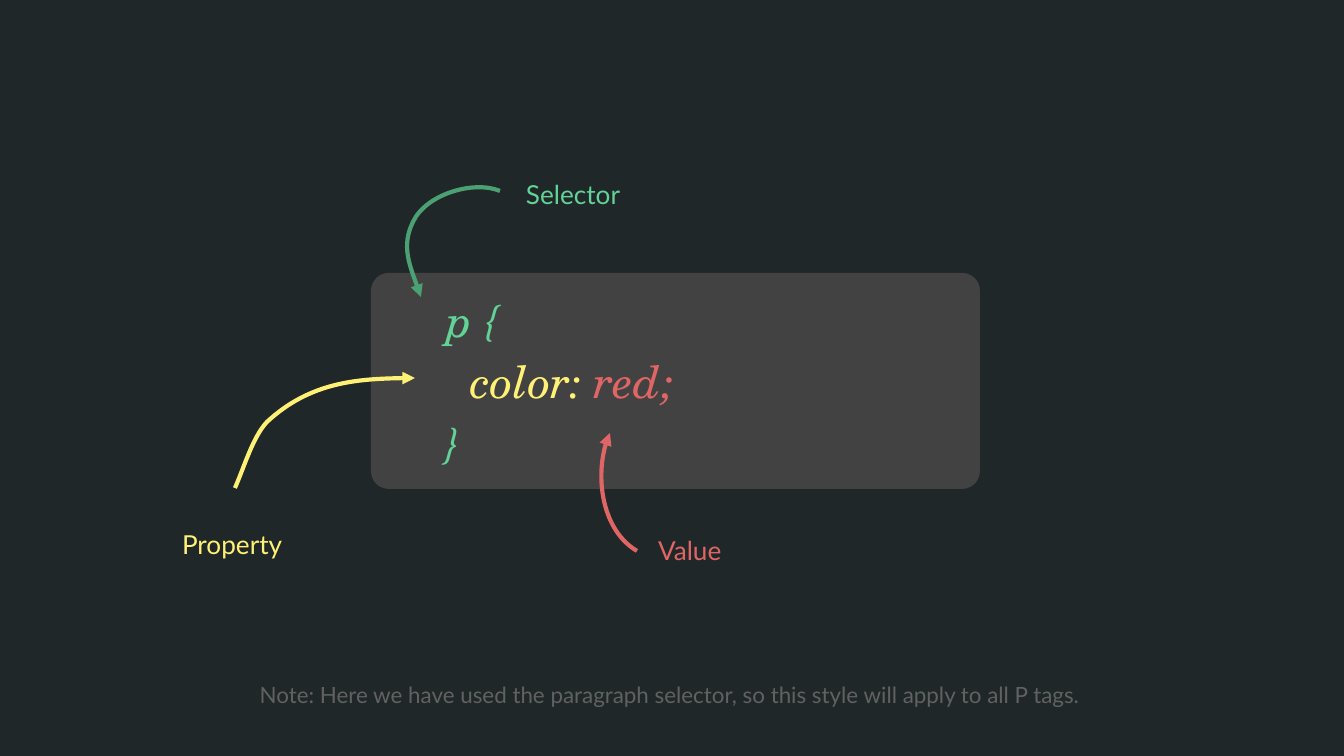
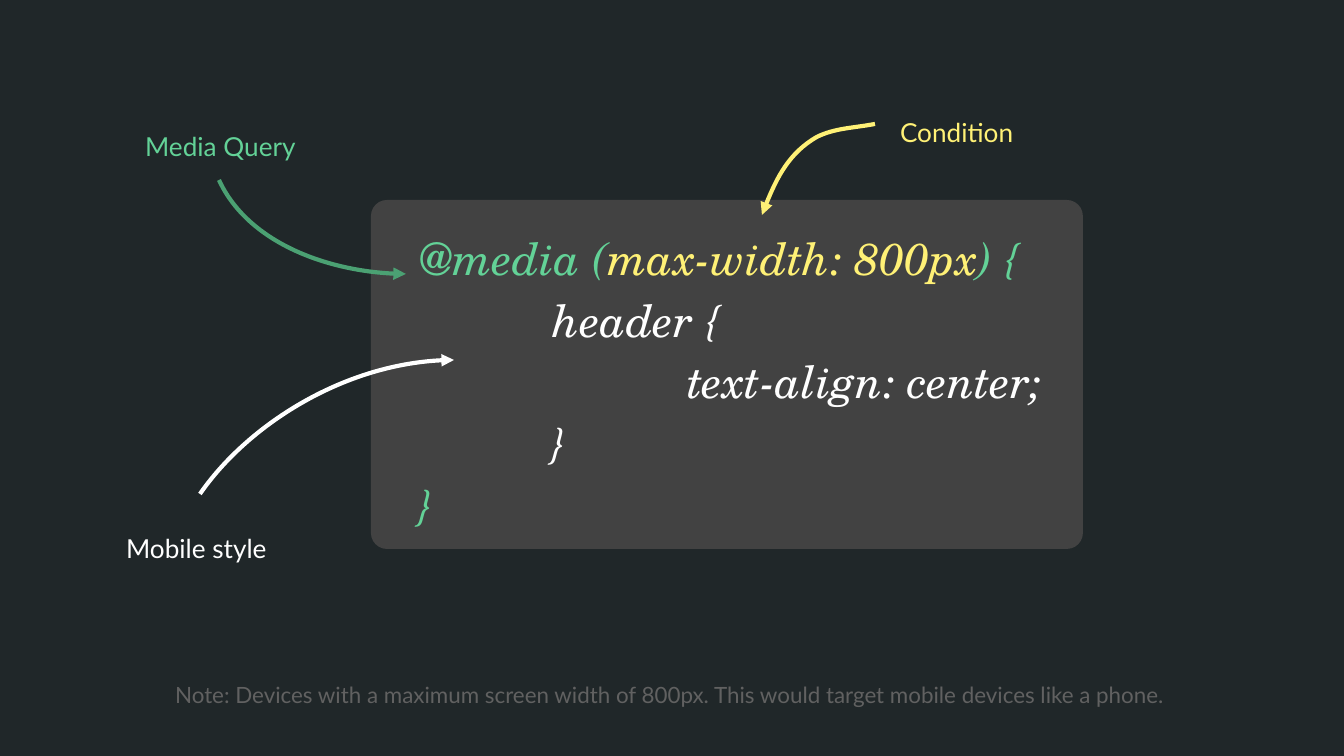
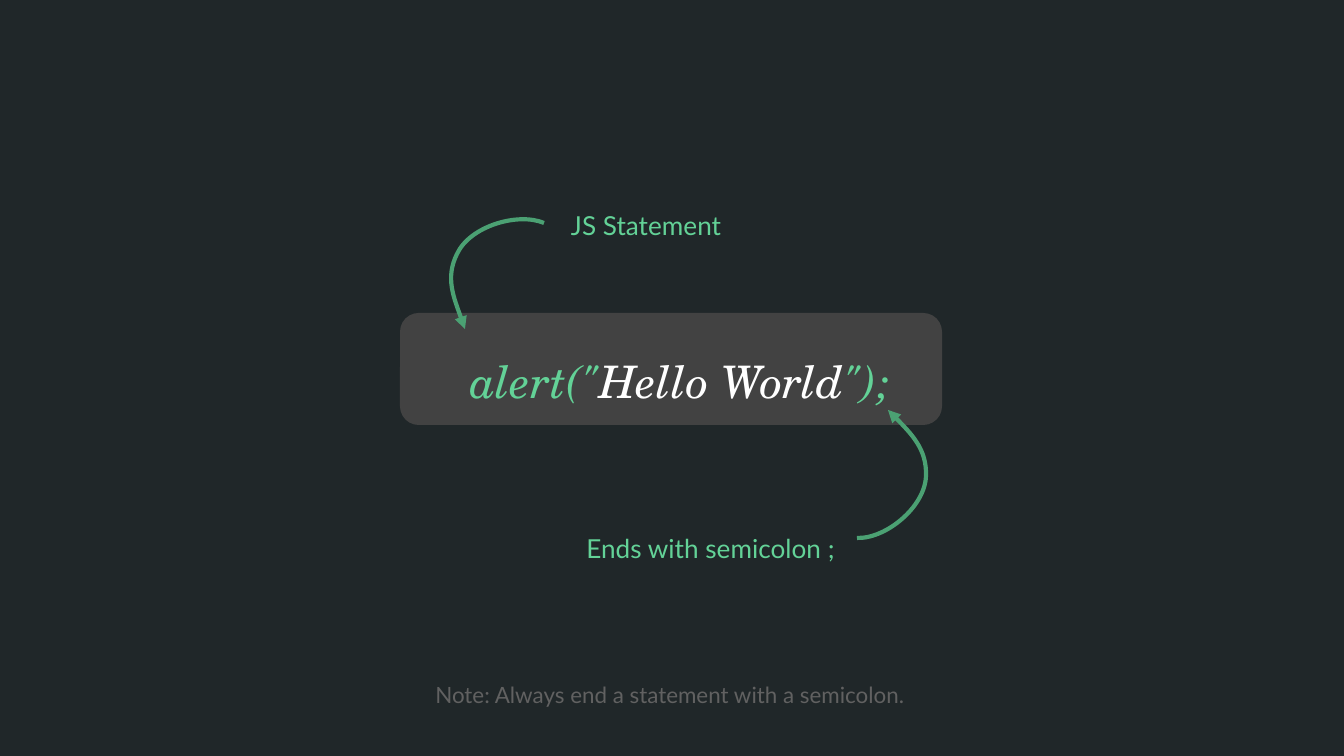
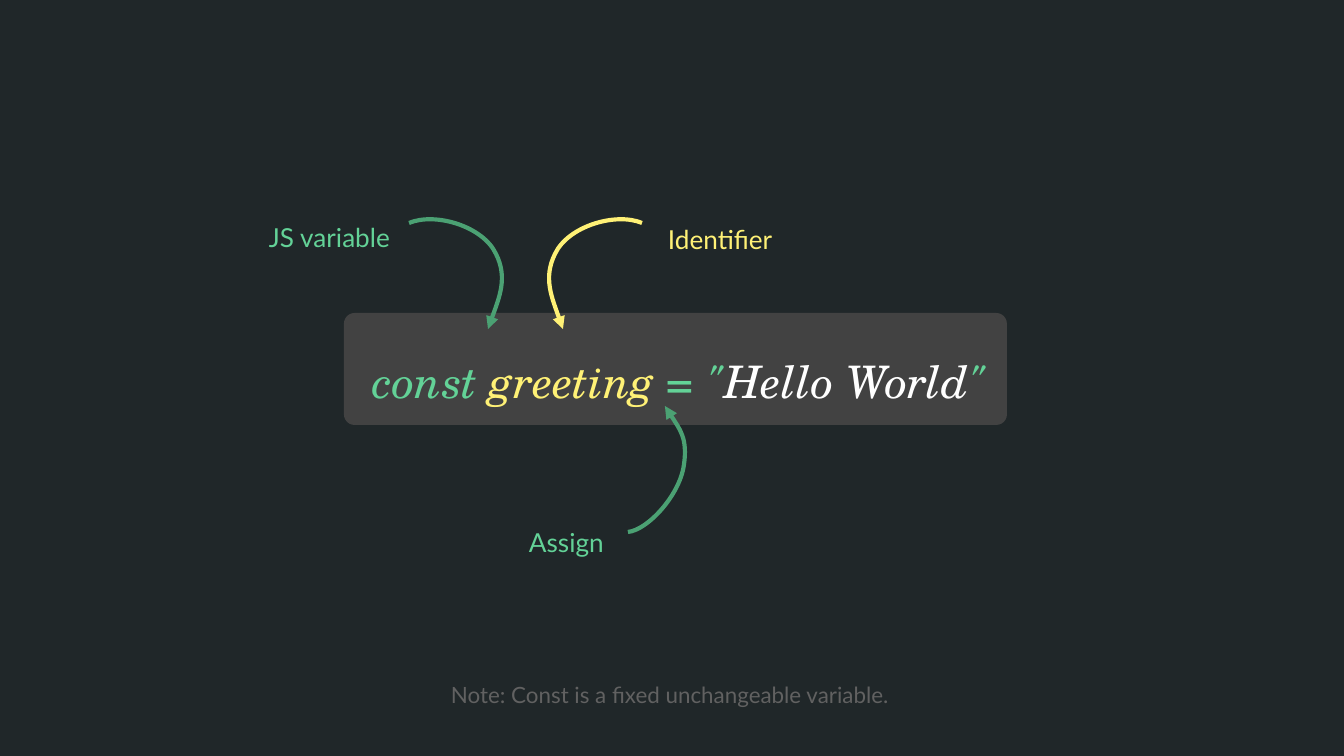
from lxml import etree
from pptx import Presentation
from pptx import util as u
from pptx.dml.color import RGBColor
from pptx.enum import shapes, text
from pptx.oxml.ns import qn

NIGHT = RGBColor(0x20, 0x27, 0x29)
PANEL = RGBColor(0x42, 0x42, 0x42)
GREY = RGBColor(0x61, 0x61, 0x61)
MINT = RGBColor(0x63, 0xD2, 0x97)
GREEN = RGBColor(0x4B, 0xA1, 0x73)
YELLOW = RGBColor(0xFF, 0xF1, 0x76)
RED = RGBColor(0xE0, 0x66, 0x66)
WHITE = RGBColor(0xFF, 0xFF, 0xFF)

WIDTH, HEIGHT = 1344, 756
SCALE = 9144000 / WIDTH
CODE_RIGHT = 1286
INSET = 13
TAB = 134
LEFT, CENTER, RIGHT = text.PP_ALIGN.LEFT, text.PP_ALIGN.CENTER, text.PP_ALIGN.RIGHT

CODE_FONT = {"name": "TeX Gyre Schola", "size": u.Pt(24), "italic": True}
LABEL_FONT = {"name": "Lato", "size": u.Pt(14)}
NOTE_FONT = {"name": "Lato", "size": u.Pt(12)}

HOOK = [(0, 0), (-26, -11), (-74, 3), (-87, 31), (-99, 55), (-87, 83), (-79, 106)]
HOOK_RIGHT = [(-x, y) for x, y in HOOK]

EXAMPLES = [
    {
        "panel": (371, 273, 609, 216), "corner": 0.082,
        "code_left": 433, "code_align": LEFT,
        "code": [
            [("p {", MINT)],
            [("  ", MINT), ("color: ", YELLOW), ("red;", RED)],
            [("}", MINT)],
        ],
        "labels": [
            ("Selector", MINT, (513, 161, 449, 83), LEFT, 1.15),
            ("Property", YELLOW, (169, 511, 168, 75), LEFT, 1.15),
            ("Value", RED, (645, 517, 168, 75), LEFT, 1.15),
        ],
        "arrows": [
            (GREEN, (500, 191), HOOK),
            (YELLOW, (235, 488), [(0, 0), (10, -23), (18, -51), (32, -66),
                                  (75, -106), (131, -110), (180, -110)]),
            (RED, (637, 551), [(0, 0), (-34, -20), (-44, -82), (-27, -118)]),
        ],
        "note": "Note: Here we have used the paragraph selector, so this style will apply to all P tags.",
    },
    {
        "panel": (371, 200, 712, 349), "corner": 0.046,
        "code_left": 406, "code_align": LEFT,
        "code": [
            [("@media (", MINT), ("max-width: 800px", YELLOW), (") {", MINT)],
            [("\theader {", WHITE)],
            [("\t\ttext-align: center;", WHITE)],
            [("\t}", WHITE)],
            [("}", MINT)],
        ],
        "labels": [
            ("Media Query", MINT, (132, 113, 210, 59), LEFT, 1.15),
            ("Mobile style", WHITE, (113, 515, 210, 59), LEFT, 1.15),
            ("Condition", YELLOW, (887, 99, 210, 59), LEFT, 1.15),
        ],
        "arrows": [
            (WHITE, (200, 494), [(0, 0), (47, -68), (149, -134), (254, -134)]),
            (GREEN, (219, 180), [(0, 0), (28, 61), (113, 94), (187, 94)]),
            (YELLOW, (875, 124), [(0, 0), (-20, 4), (-40, 4), (-58, 13),
                                  (-86, 29), (-102, 61), (-113, 91)]),
        ],
        "note": "Note: Devices with a maximum screen width of 800px. This would target mobile devices like a phone.",
    },
    {
        "panel": (400, 313, 542, 112), "corner": 0.167,
        "code_left": 73, "code_align": CENTER,
        "code": [[('alert("', MINT), ("Hello World", WHITE), ('");', MINT)]],
        "labels": [
            ("JS Statement", MINT, (558, 192, 449, 83), LEFT, 1.15),
            ("Ends with semicolon ;", MINT, (563, 515, 285, 59), RIGHT, 1.15),
        ],
        "arrows": [
            (GREEN, (544, 223), HOOK),
            (GREEN, (857, 538), [(0, 0), (29, 1), (68, -31), (69, -62),
                                 (70, -89), (48, -111), (31, -128)]),
        ],
        "note": "Note: Always end a statement with a semicolon.",
    },
    {
        "panel": (344, 313, 663, 112), "corner": 0.095,
        "code_left": 73, "code_align": CENTER,
        "code": [[("const ", MINT), ("greeting", YELLOW), (' = "', MINT),
                  ("Hello World", WHITE), ('"', MINT)]],
        "labels": [
            ("JS variable", MINT, (231, 204, 172, 70), RIGHT, 1.15),
            ("Assign", MINT, (332, 509, 285, 59), RIGHT, 1.15),
            ("Identifier", YELLOW, (655, 210, 151, 59), LEFT, 1.0),
        ],
        "arrows": [
            (GREEN, (409, 223), HOOK_RIGHT),
            (GREEN, (628, 532), [(0, 0), (20, -2), (52, -37), (56, -67),
                                 (60, -94), (47, -110), (37, -126)]),
            (YELLOW, (642, 223), HOOK),
        ],
        "note": "Note: Const is a fixed unchangeable variable.",
    },
]


def px(*lengths):
    return [u.Emu(round(length * SCALE)) for length in lengths]


def write(slide, place, lines, font, align, spacing=1.15, anchor=text.MSO_ANCHOR.TOP):
    frame = slide.shapes.add_textbox(*px(*place)).text_frame
    frame_format = {"word_wrap": True, "vertical_anchor": anchor}
    for side in ("left", "top", "right", "bottom"):
        frame_format[f"margin_{side}"] = px(INSET)[0]
    for key, value in frame_format.items():
        setattr(frame, key, value)
    for number, line in enumerate(lines):
        paragraph = frame.add_paragraph() if number else frame.paragraphs[0]
        tabs = line[0][0].count("\t")
        if tabs:
            stops = etree.SubElement(paragraph._p.get_or_add_pPr(), qn("a:tabLst"))
            for stop in px(*(TAB * (step + 1) for step in range(tabs))):
                etree.SubElement(stops, qn("a:tab"), pos=str(stop), algn="l")
        paragraph.alignment = align
        paragraph.line_spacing = spacing
        for words, colour in line:
            run = paragraph.add_run()
            run.text = words
            for key, value in font.items():
                setattr(run.font, key, value)
            run.font.color.rgb = colour


deck = Presentation()
deck.slide_width, deck.slide_height = px(WIDTH, HEIGHT)

for example in EXAMPLES:
    slide = deck.slides.add_slide(deck.slide_layouts[6])
    slide.background.fill.solid()
    slide.background.fill.fore_color.rgb = NIGHT

    panel = slide.shapes.add_shape(
        shapes.MSO_SHAPE.ROUNDED_RECTANGLE, *px(*example["panel"]))
    panel.adjustments[0] = example["corner"]
    panel.shadow.inherit = False
    panel.fill.solid()
    panel.fill.fore_color.rgb = PANEL
    panel.line.fill.background()

    code_left = example["code_left"]
    write(slide, (code_left, 78, CODE_RIGHT - code_left, 598), example["code"],
          CODE_FONT, example["code_align"], anchor=text.MSO_ANCHOR.MIDDLE)
    write(slide, (54, 664, 1232, 59), [[(example["note"], GREY)]], NOTE_FONT, CENTER)
    for words, colour, place, align, spacing in example["labels"]:
        write(slide, place, [[(words, colour)]], LABEL_FONT, align, spacing)

    for colour, (left, top), curve in example["arrows"]:
        start, *bends = [px(left + x, top + y) for x, y in curve]
        outline = slide.shapes.build_freeform(*start, scale=1.0)
        outline.add_line_segments(bends, close=False)
        arrow = outline.convert_to_shape()
        segments = list(arrow.element.iter(qn("a:lnTo")))
        for first in range(0, len(segments), 3):
            bezier = etree.Element(qn("a:cubicBezTo"))
            segments[first].addprevious(bezier)
            for segment in segments[first:first + 3]:
                bezier.append(segment[0])
                segment.getparent().remove(segment)
        arrow.shadow.inherit = False
        arrow.fill.background()
        arrow.line.color.rgb = colour
        arrow.line.width = u.Pt(2.25)
        etree.SubElement(arrow.line._get_or_add_ln(), qn("a:tailEnd"), type="triangle")

deck.save("out.pptx")
